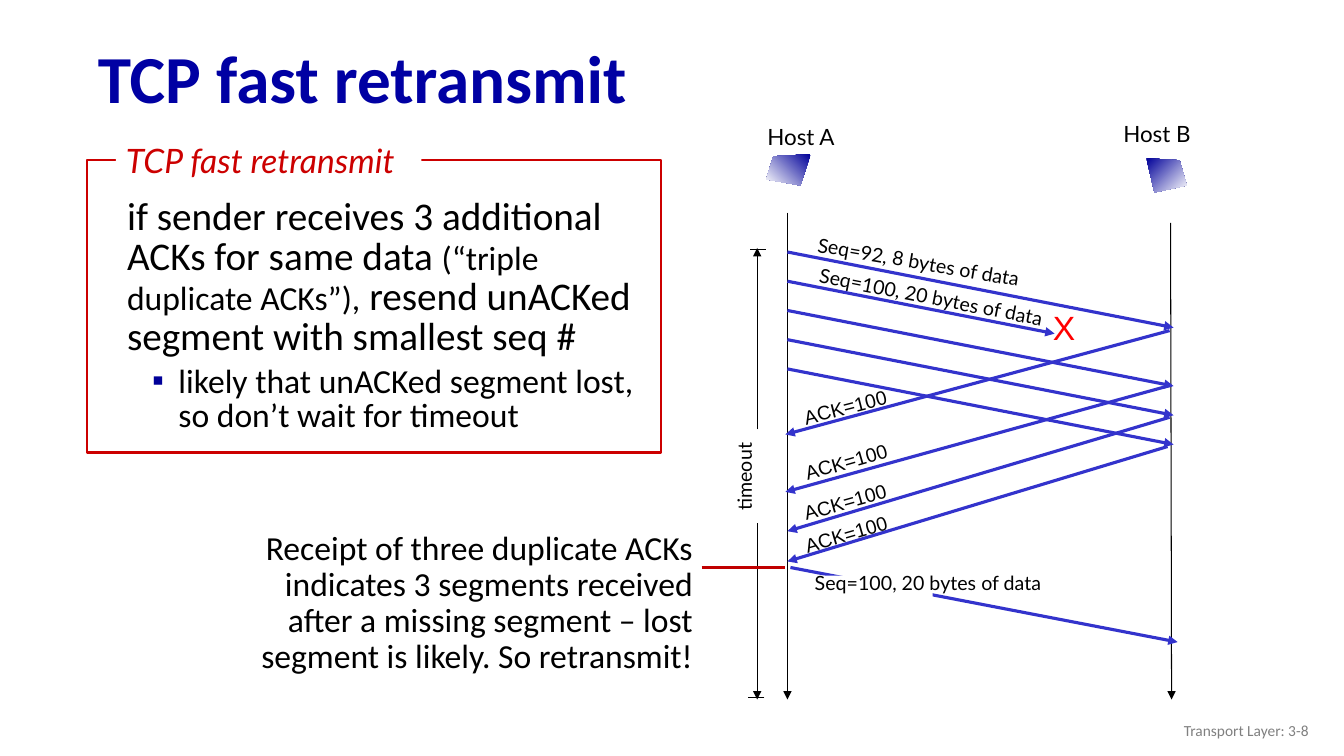
"""Build the TCP fast retransmit slide."""
import pptx
import pptx.dml.color
import pptx.enum.shapes
import pptx.enum.text
import pptx.util
from lxml import etree

PX = 9144
ALIGN = pptx.enum.text.PP_ALIGN
ANCHOR = pptx.enum.text.MSO_ANCHOR
BLACK, BLUE, RED, WHITE, NAVY = "000000", "3333CC", "CC0000", "FFFFFF", "000099"

RULE = [
    (("if sender receives 3 additional ACKs for same data ", 28),
     ("(“triple duplicate ACKs”),", 24),
     (" resend unACKed segment with smallest seq #", 28)),
    (("likely that unACKed segment lost, so don’t wait for timeout", 24),),
]
RECEIPT = ("Receipt of three duplicate ACKs indicates 3 segments received "
           "after a missing segment – lost segment is likely. So retransmit!")

HOST_X, PEER_X = 781, 1164
FIRST_SEGMENT_Y, SEGMENT_GAP, SEGMENT_DROP = 250, 29, 75
SEGMENTS = 5
LOST_SEGMENT, LOST_END = 1, (1046, 331)

THIN_LINES = [
    ((781, 211), (781, 694), True),
    ((1161, 221), (1162, 694), True),
    ((751, 426), (751, 246), True),
    ((744, 248), (760, 248), False),
    ((751, 519), (751, 694), True),
    ((758, 692), (742, 692), False),
]
ACKS = [
    ((1160, 328), (779, 431)),
    ((1162, 382), (779, 488)),
    ((1160, 414), (781, 527)),
    ((1158, 443), (781, 557)),
]
RETRANSMIT = ((784, 563), (1168, 637))
MASK = (810, 571, 115, 29)

LABELS = [
    ("Host A", (736, 117, 117, 43), 16, "Lato", BLACK, 0),
    ("Host B", (1089, 114, 117, 43), 16, "Lato", BLACK, 0),
    ("timeout", (708, 443, 87, 60), 14, "Lato", BLACK, 270),
    ("ACK=100", (767, 387, 144, 39), 14, "Arial", BLACK, 345.6),
    ("ACK=100", (768, 441, 144, 39), 14, "Arial", BLACK, 343.9),
    ("ACK=100", (767, 481, 144, 39), 14, "Arial", BLACK, 344.3),
    ("ACK=100", (768, 513, 144, 39), 14, "Arial", BLACK, 343.8),
    ("X", (1034, 300, 43, 58), 24, "Arial", "FF0000", 0),
    ("Seq=92, 8 bytes of data", (795, 243, 232, 34), 14, "Lato", BLACK, 9.7),
    ("Seq=100, 20 bytes of data", (797, 278, 253, 34), 14, "Lato", BLACK, 11.1),
    ("Seq=100, 20 bytes of data", (748, 561, 345, 39), 14, "Lato", BLACK, 0),
]
HOSTS = [
    ([(804, 153), (767, 155), (760, 178), (794, 184)], 225),
    ([(1137, 157), (1170, 159), (1177, 184), (1145, 191)], 315),
]


def color(value):
    return pptx.dml.color.RGBColor.from_string(value)


def scale(lengths):
    return [length * PX for length in lengths]


def style(font, size, name, value, bold=False, italic=False):
    font.size, font.name = pptx.util.Pt(size), name
    font.bold, font.italic = bold, italic
    font.color.rgb = color(value)


def add_line(slide, start, end, value, width, arrow=False):
    straight = pptx.enum.shapes.MSO_CONNECTOR.STRAIGHT
    connector = slide.shapes.add_connector(straight, *scale(start + end))
    connector.line.color.rgb = color(value)
    connector.line.width = pptx.util.Pt(width)
    if arrow:
        line = connector.line._get_or_add_ln()
        etree.SubElement(line, pptx.oxml.ns.qn("a:tailEnd"), type="triangle")
    properties = connector._element.spPr
    etree.SubElement(properties, pptx.oxml.ns.qn("a:effectLst"))


def add_rectangle(slide, box, fill=None, line=None):
    rectangle = pptx.enum.shapes.MSO_SHAPE.RECTANGLE
    shape = slide.shapes.add_shape(rectangle, *scale(box))
    shape.shadow.inherit = False
    if fill:
        shape.fill.solid()
        shape.fill.fore_color.rgb = color(fill)
    else:
        shape.fill.background()
    if line:
        shape.line.color.rgb = color(line)
        shape.line.width = pptx.util.Pt(1.5)
    else:
        shape.line.fill.background()


def add_text(slide, text, box, size, name, value, rotation=0,
             align=ALIGN.CENTER, wrap=False, italic=False, spacing=None):
    shape = slide.shapes.add_textbox(*scale(box))
    shape.rotation = rotation
    shape.text_frame.word_wrap = wrap
    paragraph = shape.text_frame.paragraphs[0]
    paragraph.text, paragraph.alignment = text, align
    paragraph.line_spacing = spacing
    style(paragraph.font, size, name, value, italic=italic)
    return shape


def place(placeholder, box, anchor):
    placeholder.left, placeholder.top, placeholder.width, placeholder.height = scale(box)
    frame = placeholder.text_frame
    frame.auto_size = pptx.enum.text.MSO_AUTO_SIZE.NONE
    frame.vertical_anchor, frame.word_wrap = anchor, True
    return frame


def set_bullet(paragraph, level):
    properties = paragraph._p.get_or_add_pPr()
    properties.set("marL", str(51 * PX * level))
    properties.set("indent", str(-26 * PX * level))
    qn = pptx.oxml.ns.qn
    if level:
        bullet_color = etree.SubElement(properties, qn("a:buClr"))
        etree.SubElement(bullet_color, qn("a:srgbClr"), val=NAVY)
        etree.SubElement(properties, qn("a:buChar"), char="▪")
    else:
        etree.SubElement(properties, qn("a:buNone"))


def fill_rule(frame):
    for level, parts in enumerate(RULE):
        paragraph = frame.add_paragraph() if level else frame.paragraphs[0]
        paragraph.level = level
        set_bullet(paragraph, level)
        paragraph.line_spacing = 0.85
        paragraph.space_before = pptx.util.Pt(5 * level)
        style(paragraph.font, parts[0][1], "Calibri", BLACK)
        for text, size in parts:
            run = paragraph.add_run()
            run.text, run.font.size = text, pptx.util.Pt(size)


def add_host(slide, points, angle):
    builder = slide.shapes.build_freeform(*points[0], scale=PX)
    builder.add_line_segments(points[1:], close=True)
    shape = builder.convert_to_shape()
    shape.shadow.inherit = False
    shape.line.fill.background()
    shape.fill.gradient()
    shape.fill.gradient_angle = angle
    for stop, value in zip(shape.fill.gradient_stops, (NAVY, WHITE)):
        stop.color.rgb = color(value)


def main():
    presentation = pptx.Presentation()
    presentation.slide_width, presentation.slide_height = scale((1333, 750))
    slide = presentation.slides.add_slide(presentation.slide_layouts[1])

    title = place(slide.shapes.title, (87, 32, 1246, 98), ANCHOR.MIDDLE).paragraphs[0]
    title.text, title.alignment, title.line_spacing = "TCP fast retransmit", ALIGN.LEFT, 0.9
    style(title.font, 48, "Calibri", "0000A3", bold=True)
    fill_rule(place(slide.placeholders[1], (116, 192, 526, 248), ANCHOR.TOP))

    add_rectangle(slide, (86, 159, 570, 290), line=RED)
    caption_box = (115, 134, 303, 50)
    add_rectangle(slide, caption_box, fill=WHITE)
    add_text(slide, "TCP fast retransmit", caption_box, 24, "Lato", RED,
             align=ALIGN.LEFT, italic=True)

    for start, end, arrow in THIN_LINES:
        add_line(slide, start, end, BLACK, 0.75, arrow)
    for index in range(SEGMENTS):
        top = FIRST_SEGMENT_Y + index * SEGMENT_GAP
        end = LOST_END if index == LOST_SEGMENT else (PEER_X, top + SEGMENT_DROP)
        add_line(slide, (HOST_X, top), end, BLUE, 2.25, True)
    for start, end in ACKS + [RETRANSMIT]:
        add_line(slide, start, end, BLUE, 2.25, True)
    add_rectangle(slide, MASK, fill=WHITE)
    for label in LABELS:
        add_text(slide, *label)
    for points, angle in HOSTS:
        add_host(slide, points, angle)

    add_text(slide, RECEIPT, (244, 522, 453, 156), 24, "Calibri", BLACK,
             align=ALIGN.RIGHT, wrap=True, spacing=0.9)
    add_line(slide, (696, 563), (779, 563), "C00000", 1.75)
    footer = add_text(slide, "Transport Layer: 3-8", (1008, 705, 300, 40), 11,
                      "Calibri", "808080", align=ALIGN.RIGHT, wrap=True)
    footer.text_frame.vertical_anchor = ANCHOR.MIDDLE
    presentation.save("out.pptx")


if __name__ == "__main__":
    main()
